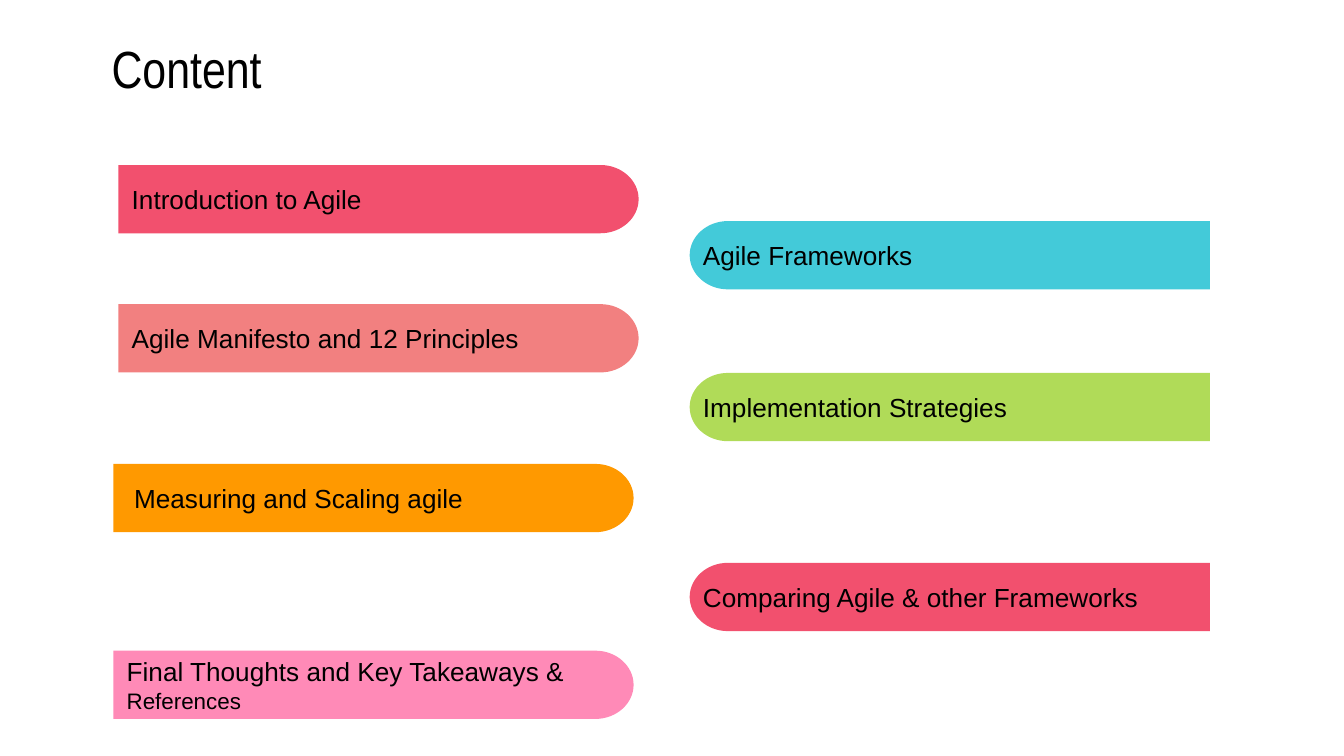
from dataclasses import dataclass

from lxml.etree import SubElement
from pptx import Presentation
from pptx.dml.color import RGBColor
from pptx.enum.text import MSO_ANCHOR as Anchor, PP_ALIGN as Align
from pptx.oxml.ns import qn
from pptx.util import Cm, Pt


@dataclass(frozen=True)
class Theme:
    ink: str = "000000"
    rose: str = "F2506E"
    coral: str = "F28080"
    orange: str = "FF9900"
    pink: str = "FF8AB7"
    cyan: str = "43CAD9"
    lime: str = "B0DB58"
    title_font: str = "Arial Narrow"
    body_font: str = "Arial"
    title_size: int = 28
    body_size: int = 14
    small_size: int = 12


THEME = Theme()
BAR_W, BAR_H, CAP_W = 9.83, 1.29, 0.72
ARC = 0.55
INSET = 0.25
MEASURE_INDENT = 0.14
LEFT_X, LEFT_LOW_X, RIGHT_X = 2.24, 2.145, 13.035

BARS = [
    (LEFT_X, 3.12, THEME.rose, ["Introduction to Agile"], 0),
    (RIGHT_X, 4.18, THEME.cyan, ["Agile Frameworks"], 0),
    (LEFT_X, 5.75, THEME.coral, ["Agile Manifesto and 12 Principles"], 0),
    (LEFT_LOW_X, 8.77, THEME.orange, ["Measuring and Scaling agile"], MEASURE_INDENT),
    (LEFT_LOW_X, 12.3, THEME.pink,
     ["Final Thoughts and Key Takeaways &", "References"], 0),
    (RIGHT_X, 7.05, THEME.lime, ["Implementation Strategies"], 0),
    (RIGHT_X, 10.64, THEME.rose, ["Comparing Agile & other Frameworks"], 0),
]


def write_text(sp, lines, font, sizes, indent=0):
    tf = sp.text_frame
    frame_format = {
        "word_wrap": True,
        "vertical_anchor": Anchor.MIDDLE,
        "margin_left": Cm(INSET + indent),
        "margin_right": Cm(INSET),
        "margin_top": Cm(INSET),
        "margin_bottom": Cm(INSET),
    }
    for name, value in frame_format.items():
        setattr(tf, name, value)
    p = tf.paragraphs[0]
    p.alignment = Align.LEFT
    for i, (line, size) in enumerate(zip(lines, sizes)):
        if i:
            p.add_line_break()
        r = p.add_run()
        r.text = line
        for name, value in {"name": font, "size": Pt(size)}.items():
            setattr(r.font, name, value)
        r.font.color.rgb = RGBColor.from_string(THEME.ink)


def add_title(s, x, y, w, h):
    sp = s.shapes.add_textbox(Cm(x), Cm(y), Cm(w), Cm(h))
    write_text(sp, ["Content"], THEME.title_font, [THEME.title_size])


def curve_to(segment, start, end, from_tip):
    (x0, y0), (x1, y1) = start, end
    dx, dy = ARC * (x1 - x0), ARC * (y1 - y0)
    if from_tip:
        controls = [(x0, y0 + dy), (x1 - dx, y1)]
    else:
        controls = [(x0 + dx, y0), (x1, y1 - dy)]
    segment.tag = qn("a:cubicBezTo")
    segment.remove(segment[0])
    for px, py in [*controls, end]:
        SubElement(segment, qn("a:pt"), x=str(round(px)), y=str(round(py)))


def round_cap(sp):
    outline = next(sp.element.iter(qn("a:path")))
    segments = [seg for seg in outline if len(seg)]
    points = [(int(seg[0].get("x")), int(seg[0].get("y"))) for seg in segments]
    for i, from_tip in ((3, False), (4, True)):
        curve_to(segments[i], points[i - 1], points[i], from_tip)


def add_bar(s, x, y, w, h, color, lines, indent):
    corners = [(0, 0), (0, h), (w - CAP_W, h), (w, h / 2), (w - CAP_W, 0)]
    if x == RIGHT_X:
        corners = [(w - px, py) for px, py in corners]
    start, *rest = [(Cm(x + px), Cm(y + py)) for px, py in corners]
    builder = s.shapes.build_freeform(*start)
    builder.add_line_segments(rest, close=True)
    sp = builder.convert_to_shape()
    round_cap(sp)
    sp.shadow.inherit = False
    sp.fill.solid()
    sp.fill.fore_color.rgb = RGBColor.from_string(color)
    sp.line.fill.background()
    write_text(sp, lines, THEME.body_font,
               [THEME.body_size, THEME.small_size], indent)


def main():
    prs = Presentation()
    prs.slide_width, prs.slide_height = Cm(25.4), Cm(14.29)
    s = prs.slides.add_slide(prs.slide_layouts[6])
    add_title(s, 1.86, 0.61, 21.46, 1.35)
    for x, y, color, lines, indent in BARS:
        add_bar(s, x, y, BAR_W, BAR_H, color, lines, indent)
    prs.save("out.pptx")


if __name__ == "__main__":
    main()
